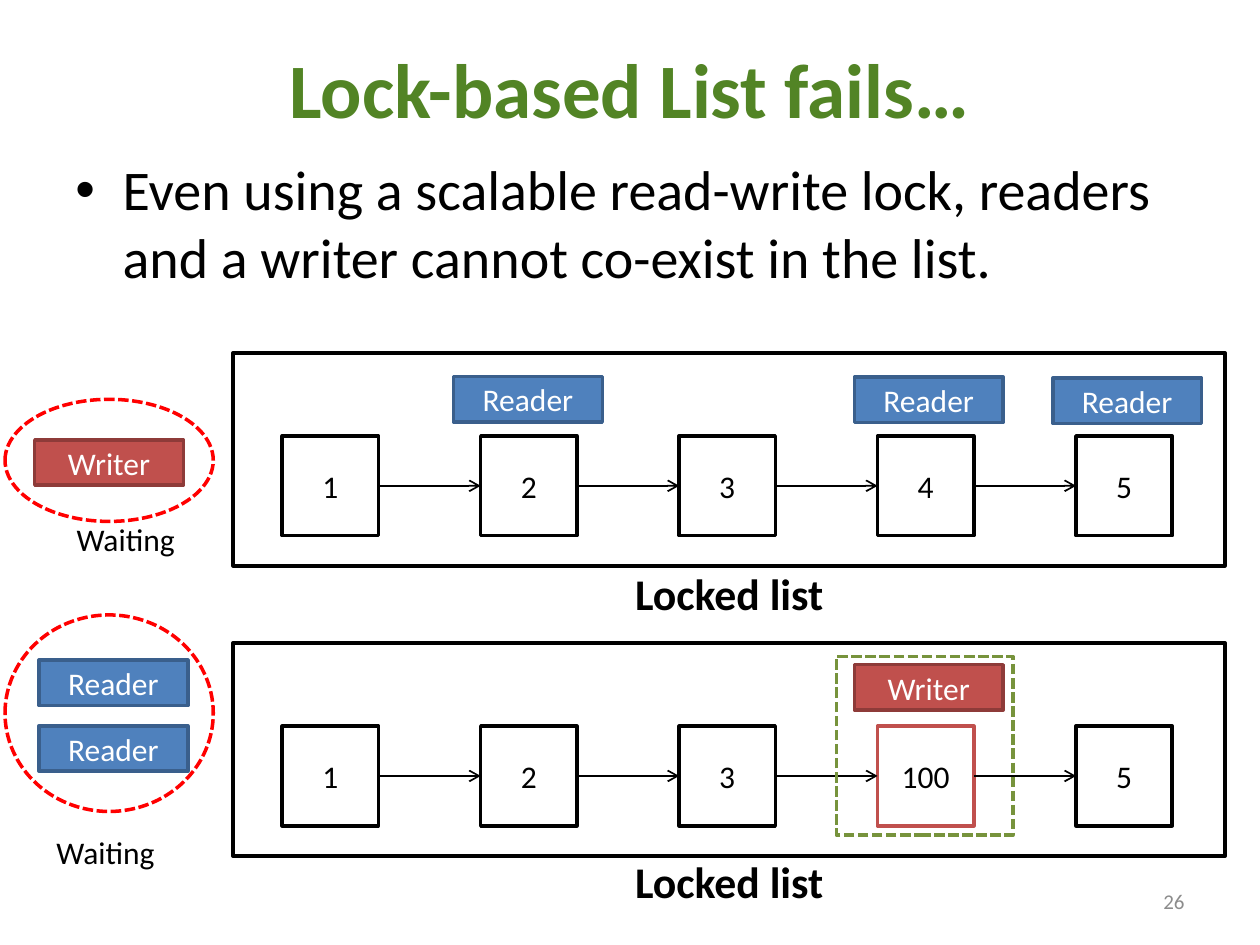
from dataclasses import dataclass

from lxml import etree
from pptx import Presentation
from pptx.dml.color import RGBColor
from pptx.enum.dml import MSO_LINE
from pptx.enum.shapes import MSO_CONNECTOR, MSO_SHAPE
from pptx.enum.text import MSO_ANCHOR, PP_ALIGN
from pptx.oxml.ns import qn
from pptx.util import Pt

RECTANGLE, ELLIPSE = MSO_SHAPE.RECTANGLE, MSO_SHAPE.OVAL
STRAIGHT = MSO_CONNECTOR.STRAIGHT
DASH = MSO_LINE.SQUARE_DOT
LEFT, CENTER, RIGHT = PP_ALIGN.LEFT, PP_ALIGN.CENTER, PP_ALIGN.RIGHT
TOP, MIDDLE = MSO_ANCHOR.TOP, MSO_ANCHOR.MIDDLE


@dataclass(frozen=True)
class Theme:
    font: str = "Calibri"
    title_size: int = 44
    body_size: int = 32
    caption_size: int = 25
    label_size: int = 18
    number_size: int = 12
    black: str = "000000"
    white: str = "FFFFFF"
    title: str = "528425"
    gray: str = "8C8C8C"
    waiting: str = "FF0000"
    update: str = "77933C"
    reader: tuple = ("4F81BD", "3A5F8C")
    writer: tuple = ("C0504D", "8E3B39")


THEME = Theme()

# Geometry of one list, in points
FRAME_LEFT, FRAME_WIDTH, FRAME_HEIGHT = 133.2, 566.8, 121.8
NODE_LEFT, NODE_PITCH, NODE_WIDTH, NODE_HEIGHT = 161.3, 113.4, 55, 57
NODE_OFFSET = 47.5
TAG_WIDTH, TAG_HEIGHT = 85, 26
WAITING_LEFT, WAITING_WIDTH = 2.9, 119


def write_text(shape, text, *, size, color=THEME.black, bold=False,
               align=LEFT, anchor=TOP, bullet_indent=0):
    frame = shape.text_frame
    frame.word_wrap = True
    frame.vertical_anchor = anchor
    paragraph = frame.paragraphs[0]
    paragraph.text = text
    paragraph.alignment = align
    if bullet_indent:
        properties = paragraph._p.get_or_add_pPr()
        properties.set("marL", str(Pt(bullet_indent)))
        properties.set("indent", str(-Pt(bullet_indent)))
        etree.SubElement(properties, qn("a:buFont")).set("typeface", "Arial")
        etree.SubElement(properties, qn("a:buChar")).set("char", "•")
    font = paragraph.runs[0].font
    font.name, font.size, font.bold = THEME.font, Pt(size), bold
    font.color.rgb = RGBColor.from_string(color)


class SlideBuilder:
    def __init__(self, slide, theme):
        self.slide = slide
        self.theme = theme

    def title(self, text, left, top, width, height):
        shape = self.slide.shapes.title
        shape.left, shape.top = Pt(left), Pt(top)
        shape.width, shape.height = Pt(width), Pt(height)
        write_text(shape, text, size=self.theme.title_size, bold=True,
                   color=self.theme.title, align=CENTER, anchor=MIDDLE)

    def text(self, text, left, top, width, height, **text_format):
        box = self.slide.shapes.add_textbox(Pt(left), Pt(top), Pt(width), Pt(height))
        write_text(box, text, **text_format)

    def shape(self, kind, left, top, width, height, *, line, fill=None,
              dashed=False, text=None, text_color=THEME.black):
        shape = self.slide.shapes.add_shape(kind, Pt(left), Pt(top), Pt(width), Pt(height))
        shape.shadow.inherit = False
        if fill:
            shape.fill.solid()
            shape.fill.fore_color.rgb = RGBColor.from_string(fill)
        else:
            shape.fill.background()
        shape.line.color.rgb = RGBColor.from_string(line)
        shape.line.width = Pt(2)
        if dashed:
            shape.line.dash_style = DASH
        if text:
            write_text(shape, text, size=self.theme.label_size, color=text_color,
                       align=CENTER, anchor=MIDDLE)

    def arrow(self, start, end, y):
        connector = self.slide.shapes.add_connector(STRAIGHT, Pt(start), Pt(y), Pt(end), Pt(y))
        connector.line.color.rgb = RGBColor.from_string(self.theme.black)
        connector.line.width = Pt(1)
        etree.SubElement(connector.line._get_or_add_ln(), qn("a:tailEnd")).set("type", "arrow")
        etree.SubElement(connector._element.spPr, qn("a:effectLst"))

    def tag(self, role, left, top):
        fill, line = self.theme.reader if role == "Reader" else self.theme.writer
        self.shape(RECTANGLE, left, top, TAG_WIDTH, TAG_HEIGHT, fill=fill, line=line,
                   text=role, text_color=self.theme.white)

    def locked_list(self, top, values, caption_top, changed=None):
        node_top = top + NODE_OFFSET
        lefts = [NODE_LEFT + index * NODE_PITCH for index in range(len(values))]
        for left, value in zip(lefts, values):
            is_changed = value == changed
            self.shape(RECTANGLE, left, node_top, NODE_WIDTH, NODE_HEIGHT, text=value,
                       fill=self.theme.white if is_changed else None,
                       line=self.theme.writer[0] if is_changed else self.theme.black)
        for left, following in zip(lefts, lefts[1:]):
            self.arrow(left + NODE_WIDTH, following, node_top + NODE_HEIGHT / 2)
        self.shape(RECTANGLE, FRAME_LEFT, top, FRAME_WIDTH, FRAME_HEIGHT,
                   line=self.theme.black)
        self.text("Locked list", 303, caption_top, 227.5, 37.5, bold=True,
                  size=self.theme.caption_size, align=CENTER)

    def waiting_group(self, top, height, label_left, label_top):
        self.shape(ELLIPSE, WAITING_LEFT, top, WAITING_WIDTH, height,
                   line=self.theme.waiting, dashed=True)
        self.text("Waiting", label_left, label_top, 79.2, 29, size=self.theme.label_size)


def main():
    presentation = Presentation()
    presentation.slide_width, presentation.slide_height = Pt(720), Pt(540)
    slide = presentation.slides.add_slide(presentation.slide_layouts[5])
    builder = SlideBuilder(slide, THEME)

    # Heading, statement and page number
    builder.title("Lock-based List fails…", 36, 5, 648, 90)
    builder.text("Even using a scalable read-write lock, readers and a writer "
                 "cannot co-exist in the list.", 36, 85, 648, 381,
                 size=THEME.body_size, bullet_indent=27)
    builder.text("26", 516, 500.5, 168, 28.8, size=THEME.number_size,
                 color=THEME.gray, align=RIGHT, anchor=MIDDLE)

    # Readers hold the list while the writer waits
    builder.locked_list(201.6, ["1", "2", "3", "4", "5"], caption_top=320.4)
    for left, top in ((259.2, 215.2), (488.2, 215.5), (601.6, 216)):
        builder.tag("Reader", left, top)
    builder.waiting_group(228.2, 69.8, label_left=36.7, label_top=293.8)
    builder.tag("Writer", 19.8, 251.3)

    # The writer holds the list while the readers wait
    builder.locked_list(367.4, ["1", "2", "3", "100", "5"], caption_top=484.6, changed="100")
    builder.tag("Writer", 488.2, 379.8)
    builder.shape(RECTANGLE, 478, 375.1, 100.8, 102.2, line=THEME.update, dashed=True)
    builder.waiting_group(351.4, 112.3, label_left=25.2, label_top=472.3)
    for top in (377.2, 414.7):
        builder.tag("Reader", 22.3, top)

    presentation.save("out.pptx")


if __name__ == "__main__":
    main()
